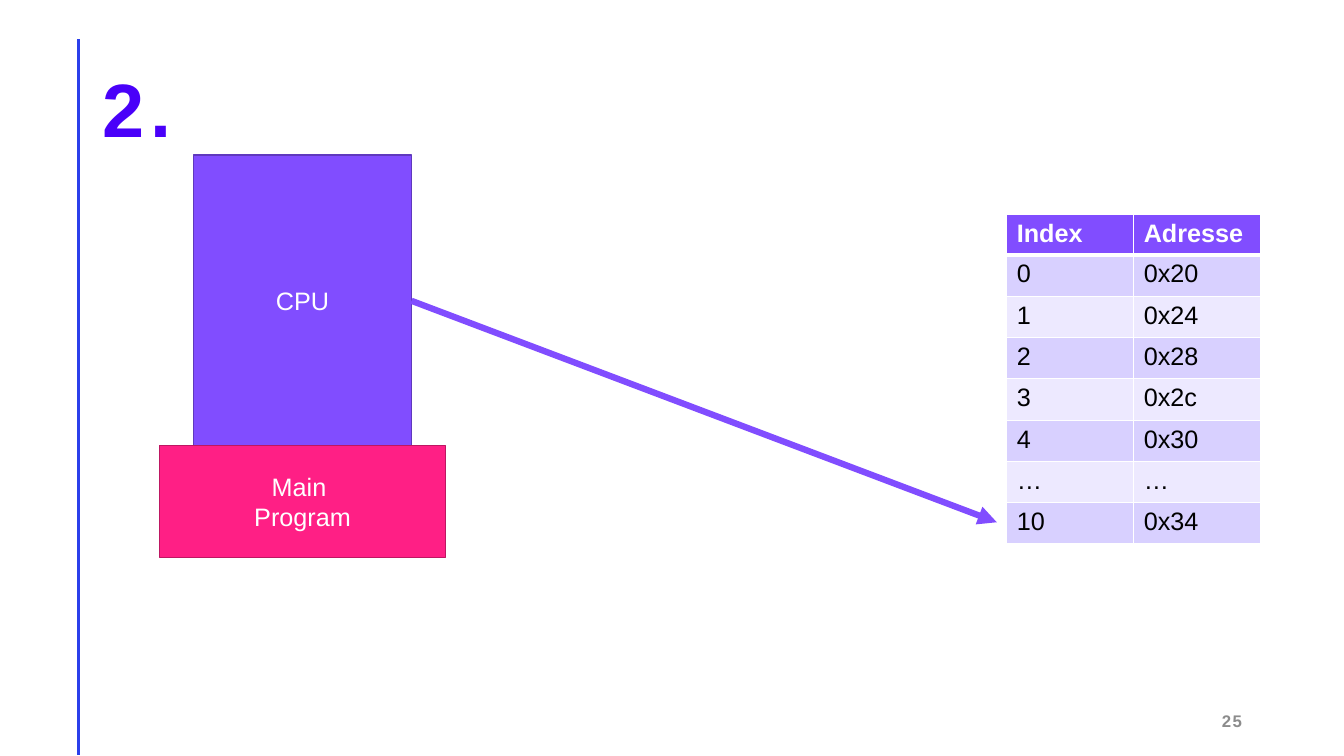
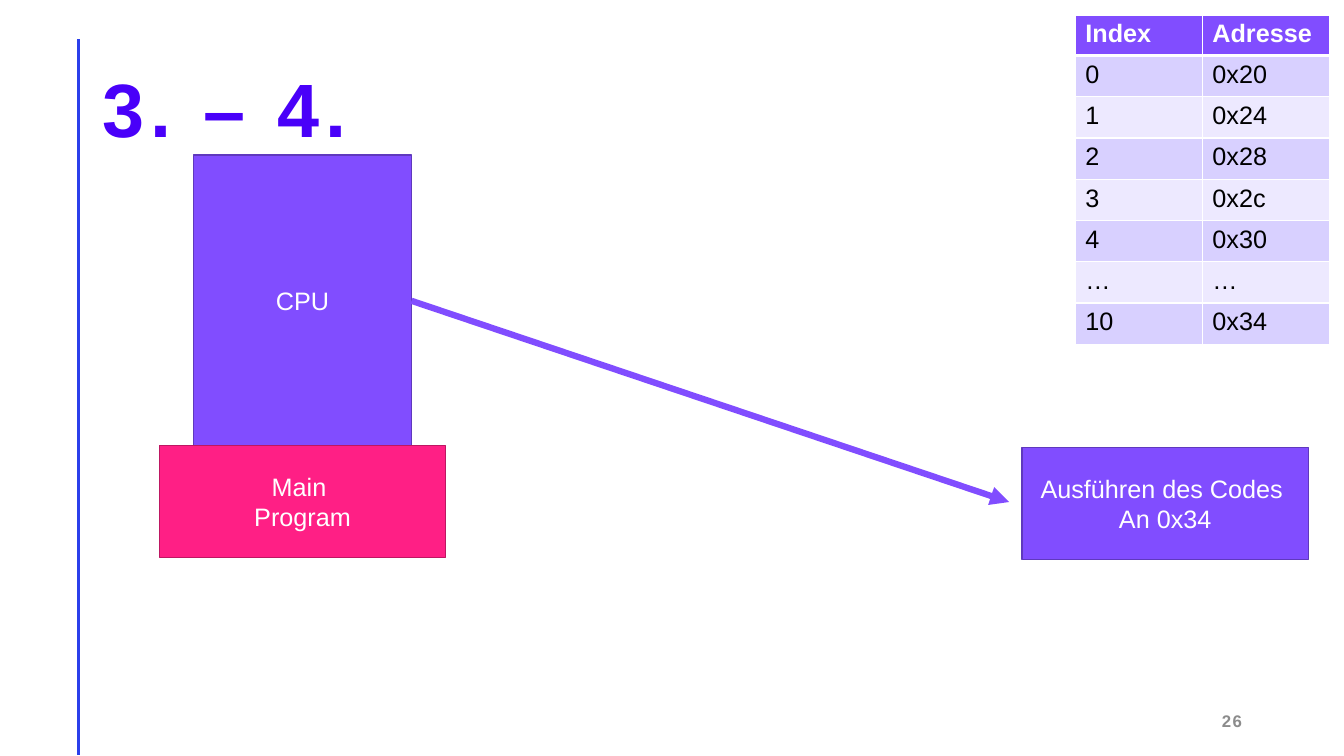
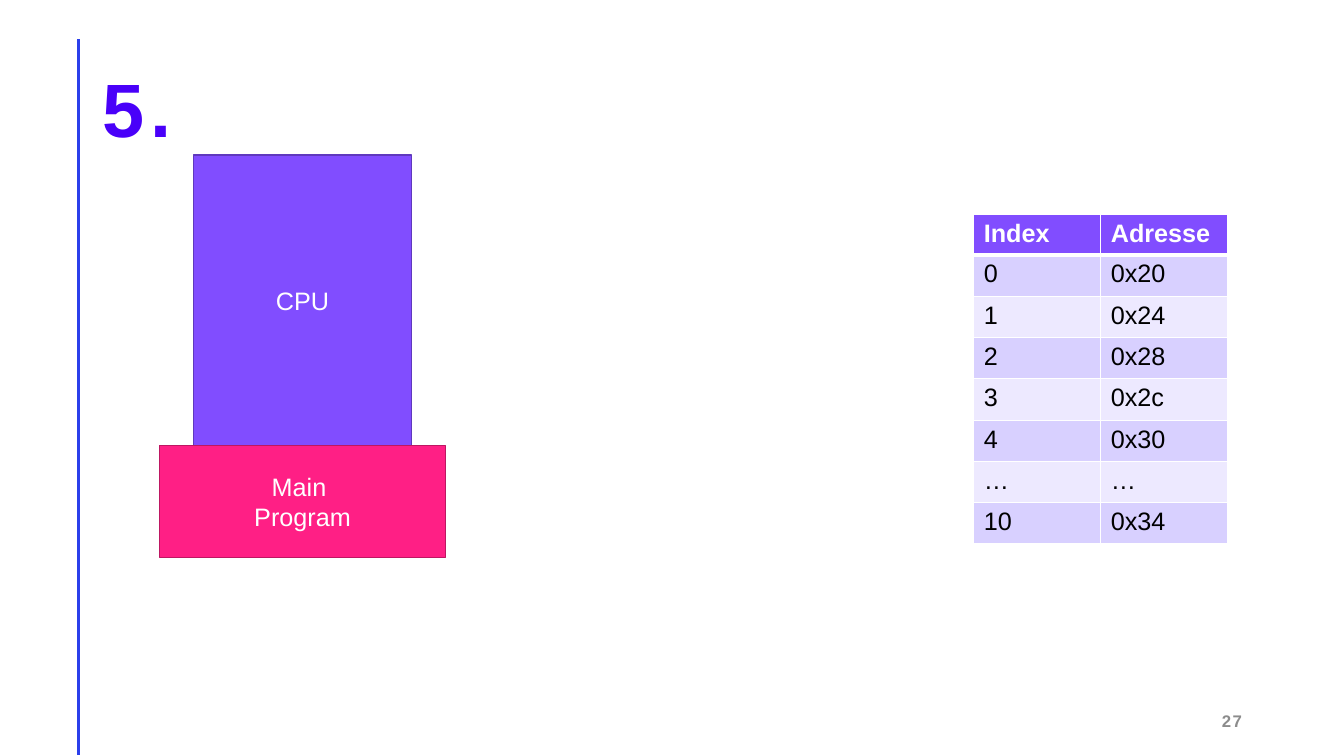
import dataclasses

import pptx
import pptx.dml.color
import pptx.enum.shapes
import pptx.enum.text
import pptx.oxml
import pptx.oxml.ns
import pptx.util
from pptx.util import Cm

ALIGN = pptx.enum.text.PP_ALIGN
MIDDLE = pptx.enum.text.MSO_ANCHOR.MIDDLE


@dataclasses.dataclass(frozen=True)
class Theme:
    font: str = "Arial"
    white: str = "FFFFFF"
    black: str = "000000"
    grey: str = "8C8C8C"
    rail: str = "2B3FEB"
    title: str = "4900F9"
    violet: str = "814DFF"
    violet_edge: str = "5F39BD"
    pink: str = "FF1F85"
    pink_edge: str = "BD1762"
    bands: tuple = ("D8D0FF", "EDE9FF")
    title_size: float = 54
    body_size: float = 18
    number_size: float = 12


T = Theme()
VECTORS = [("Index", "Adresse"), ("0", "0x20"), ("1", "0x24"), ("2", "0x28"),
           ("3", "0x2c"), ("4", "0x30"), ("…", "…"), ("10", "0x34")]
COL_W, HEAD_H, ROW_H = 3.2, 0.94, 1.04
BOX_W, BOX_H = 7.21, 2.82


def rgb(color):
    return pptx.dml.color.RGBColor.from_string(color)


def add_run(p, text, size, color, bold=False, spacing=0):
    r = p.add_run()
    r.text = text
    r.font.name = T.font
    r.font.size = pptx.util.Pt(size)
    r.font.bold = bold
    r.font.color.rgb = rgb(color)
    if spacing:
        r._r.get_or_add_rPr().set("spc", str(spacing * 100))


def add_line(s, start, end, color, width, arrow=False):
    line = s.shapes.add_connector(pptx.enum.shapes.MSO_CONNECTOR.STRAIGHT,
                                  *(Cm(v) for v in start + end))
    line.line.color.rgb = rgb(color)
    line.line.width = pptx.util.Pt(width)
    ns = pptx.oxml.ns.nsdecls("a")
    if arrow:
        line.line._get_or_add_ln().append(
            pptx.oxml.parse_xml(f'<a:tailEnd {ns} type="triangle"/>'))
    line._element.spPr.append(pptx.oxml.parse_xml(f"<a:effectLst {ns}/>"))


def add_box(s, x, y, w, h, lines, fill, edge):
    sp = s.shapes.add_shape(pptx.enum.shapes.MSO_SHAPE.RECTANGLE,
                            Cm(x), Cm(y), Cm(w), Cm(h))
    sp.shadow.inherit = False
    sp.fill.solid()
    sp.fill.fore_color.rgb = rgb(fill)
    sp.line.color.rgb = rgb(edge)
    sp.line.width = pptx.util.Pt(1)
    tf = sp.text_frame
    tf.word_wrap = True
    tf.vertical_anchor = MIDDLE
    for i, text in enumerate(lines):
        p = tf.add_paragraph() if i else tf.paragraphs[0]
        p.alignment = ALIGN.CENTER
        add_run(p, text, T.body_size, T.white)


def add_step(prs, title, number):
    """Slide with side rail, title and page number."""
    s = prs.slides.add_slide(prs.slide_layouts[5])
    add_line(s, (1.98, 0.99), (1.98, 19.03), T.rail, 2)

    # Title
    sp = s.shapes.title
    sp.left, sp.top, sp.width, sp.height = Cm(2.34), Cm(1.02), Cm(29.21), Cm(3.68)
    tf = sp.text_frame
    tf.word_wrap = True
    tf.vertical_anchor = MIDDLE
    p = tf.paragraphs[0]
    p.alignment = ALIGN.LEFT
    p.line_spacing = 0.9
    add_run(p, title, T.title_size, T.title, bold=True, spacing=4)

    # Page number
    tf = s.shapes.add_textbox(Cm(23.93), Cm(17.65), Cm(7.62), Cm(1.02)).text_frame
    tf.word_wrap = True
    tf.vertical_anchor = MIDDLE
    p = tf.paragraphs[0]
    p.alignment = ALIGN.RIGHT
    add_run(p, str(number), T.number_size, T.grey, bold=True, spacing=1)
    return s


def add_processor(s, x, y):
    """CPU standing on its main program; returns the arrow's starting point."""
    w, h, inset = 5.49, 7.34, 0.86
    add_box(s, x + inset, y, w, h, ["CPU"], T.violet, T.violet_edge)
    add_box(s, x, y + h - 0.02, BOX_W, BOX_H, ["Main ", "Program"], T.pink, T.pink_edge)
    return x + inset + w, y + h / 2


def style_cell(cell, row):
    # Borders go before the fill in the cell properties
    tc_pr = cell._tc.get_or_add_tcPr()
    widths = {"L": 1, "R": 1, "T": 3 if row == 1 else 1, "B": 3 if row == 0 else 1}
    for side, width in widths.items():
        tc_pr.append(pptx.oxml.parse_xml(
            f'<a:ln{side} {pptx.oxml.ns.nsdecls("a")} w="{pptx.util.Pt(width)}">'
            f'<a:solidFill><a:srgbClr val="{T.white}"/></a:solidFill></a:ln{side}>'))
    cell.fill.solid()
    cell.fill.fore_color.rgb = rgb(T.bands[(row - 1) % 2] if row else T.violet)


def add_vector_table(s, x, y):
    rows, cols = len(VECTORS), len(VECTORS[0])
    table = s.shapes.add_table(rows, cols, Cm(x), Cm(y), Cm(cols * COL_W),
                               Cm(HEAD_H + (rows - 1) * ROW_H)).table
    for col in table.columns:
        col.width = Cm(COL_W)
    for i, values in enumerate(VECTORS):
        table.rows[i].height = Cm(ROW_H if i else HEAD_H)
        for j, text in enumerate(values):
            cell = table.cell(i, j)
            style_cell(cell, i)
            add_run(cell.text_frame.paragraphs[0], text, T.body_size,
                    T.black if i else T.white, bold=i == 0)


def build_step(prs, title, number, table_at, arrow_to=None, code_at=None):
    s = add_step(prs, title, number)
    start = add_processor(s, 4.02, 3.91)
    if arrow_to:
        add_line(s, start, arrow_to, T.violet, 4.5, arrow=True)
    if code_at:
        add_box(s, *code_at, BOX_W, BOX_H, ["Ausführen des Codes ", "An 0x34"],
                T.violet, T.violet_edge)
    add_vector_table(s, *table_at)


prs = pptx.Presentation()
prs.slide_width, prs.slide_height = Cm(33.87), Cm(19.05)
build_step(prs, "2.", 25, (25.37, 5.41), arrow_to=(25.12, 13.16))
build_step(prs, "3. – 4.", 26, (27.1, 0.38), arrow_to=(25.43, 12.65),
           code_at=(25.76, 11.28))
build_step(prs, "5.", 27, (24.54, 5.41))
prs.save("out.pptx")
